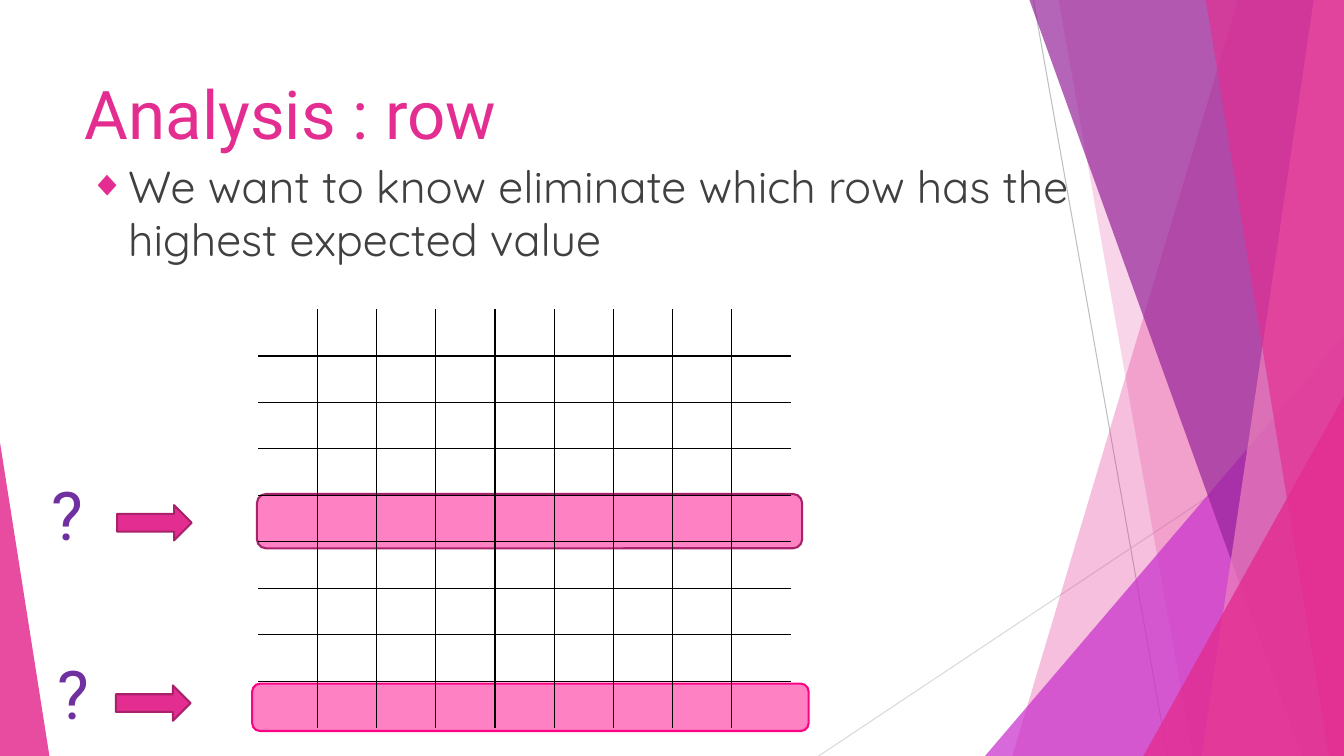
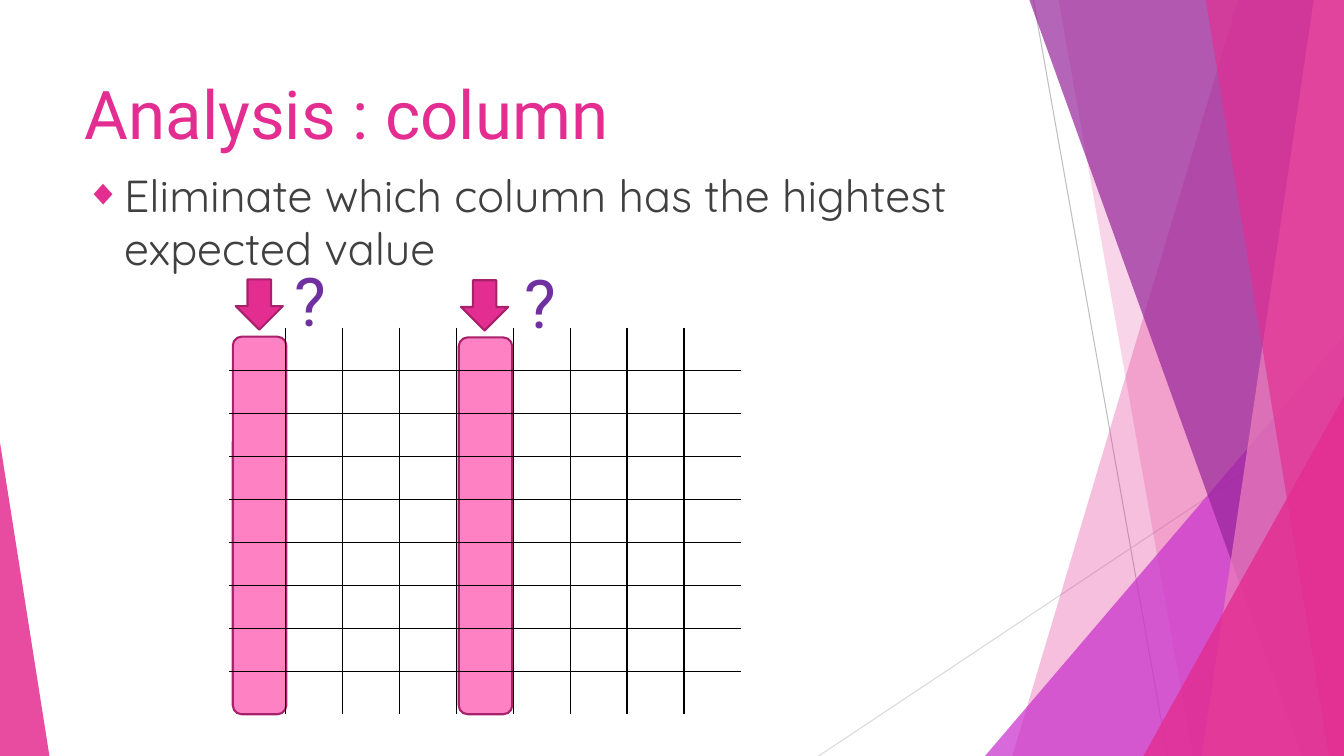
from lxml import etree
from pptx import Presentation
from pptx import util as u
from pptx.dml.color import RGBColor
from pptx.enum import shapes, text
from pptx.oxml import ns

COLORS = {
    "pink": "E32D91", "rose": "EE81BD", "violet": "962499", "orchid": "C830CC",
    "highlight": "FE82C3", "edge": "A8216B", "hot edge": "FC0285",
    "question": "7030A0", "body": "404040", "grid": "000000",
    "grey": "BFBFBF", "light grey": "D9D9D9",
}
WIDTH, HEIGHT = 13.33, 7.5
CELLS = 9  # the board is 9 by 9
KIND = shapes.MSO_SHAPE


def write(frame, words, *, size, font, color, bullet=None, indent=0.38):
    """Fill a text frame with one formatted paragraph."""
    frame.word_wrap = True
    frame.auto_size = text.MSO_AUTO_SIZE.NONE
    frame.vertical_anchor = text.MSO_ANCHOR.TOP
    paragraph = frame.paragraphs[0]
    paragraph.text = words
    paragraph.alignment = text.PP_ALIGN.LEFT
    paragraph.space_before = u.Pt(0)
    if bullet:
        props = paragraph._p.get_or_add_pPr()
        props.set("marL", str(u.Inches(indent)))
        props.set("indent", str(-u.Inches(indent)))
        tint = etree.SubElement(props, ns.qn("a:buClr"))
        etree.SubElement(tint, ns.qn("a:srgbClr"), val=COLORS["pink"])
        etree.SubElement(props, ns.qn("a:buSzPct"), val="80000")
        etree.SubElement(props, ns.qn("a:buChar"), char=bullet)
    paragraph.font.size = u.Pt(size)
    paragraph.font.name = font
    paragraph.font.color.rgb = RGBColor.from_string(COLORS[color])


def paint(shape, fill, edge=None, opacity=100):
    """Give a shape its fill, outline and opacity, without shadow."""
    shape.shadow.inherit = False
    shape.fill.solid()
    shape.fill.fore_color.rgb = RGBColor.from_string(COLORS[fill])
    if opacity < 100:
        tint = shape.element.spPr.find(ns.qn("a:solidFill"))[0]
        etree.SubElement(tint, ns.qn("a:alpha"), val=str(opacity * 1000))
    if edge:
        shape.line.color.rgb = RGBColor.from_string(COLORS[edge])
        shape.line.width = u.Pt(1.5)
    else:
        shape.line.fill.background()


# Backdrop: thin lines (from, to, colour)
RAYS = [
    (10.25, 0, 11.58, HEIGHT, "grey"),
    (WIDTH, 4.03, 8.12, HEIGHT, "light grey"),
]
# Panels reach the right edge: top-left x, bottom-left x, colour, opacity
# Triangles: left, top, width, apex share, colour, opacity
BACKDROP = [
    ("panel", 12.28, 10.04, "pink", 30),
    ("panel", 10.5, 11.83, "pink", 20),
    ("triangle", 9.77, 3.33, 3.56, 1, "orchid", 72),
    ("panel", 10.21, 12.91, "violet", 70),
    ("panel", 13.03, 11.92, "rose", 70),
    ("panel", 11.96, 13.18, "pink", 65),
    ("triangle", 11.34, 3.93, 1.99, 1, "pink", 80),
    ("triangle", 0, 4.39, 0.49, 0, "pink", 85),
]

# Slide content; places inside the board are (column, row, columns, rows)
SLIDES = [
    {
        "title": "Analysis : row",
        "body": "We want to know eliminate which row has the highest expected value",
        "body at": (0.79, 1.52),
        "board": (2.56, 3.07, 5.29, 4.15),
        "highlights": [(-0.1, 8.05, 9.39, 1.02, "hot edge"),
                       (-0.02, 3.97, 9.2, 1.17, "edge")],
        "arrow": KIND.RIGHT_ARROW,
        "arrows": [(-2.38, 4.21, 1.26, 0.76), (-2.4, 8.09, 1.26, 0.76)],
        "questions": [(-3.66, 3.41, 1.26, 2.15), (-3.55, 7.27, 1.19, 2.15)],
    },
    {
        "title": "Analysis : column",
        "body": "Eliminate which column has the hightest expected value",
        "body at": (0.75, 1.61),
        "board": (2.27, 3.25, 5.08, 3.84),
        "highlights": [(4.04, 0.23, 0.94, 8.76, "edge"),
                       (0.07, 0.21, 0.94, 8.78, "edge")],
        "arrow": KIND.DOWN_ARROW,
        "arrows": [(4.08, -1.1, 0.83, 1.17), (0.12, -1.12, 0.83, 1.17)],
        "questions": [(0.98, -1.71, 1.24, 2.32), (5.02, -1.66, 1.24, 2.32)],
    },
]

deck = Presentation()
deck.slide_width, deck.slide_height = u.Inches(WIDTH), u.Inches(HEIGHT)
layout = deck.slide_layouts[1]
pages = [deck.slides.add_slide(layout) for content in SLIDES]

# Draw the backdrop once, then hand it to the shared layout
canvas = pages[0].shapes
backdrop = []
for x1, y1, x2, y2, color in RAYS:
    ray = canvas.add_connector(shapes.MSO_CONNECTOR.STRAIGHT,
                               *map(u.Inches, (x1, y1, x2, y2)))
    ray.line.color.rgb = RGBColor.from_string(COLORS[color])
    ray.line.width = u.Pt(0.75)
    etree.SubElement(ray.element.spPr, ns.qn("a:effectLst"))
    backdrop.append(ray)
for kind, *geometry, color, opacity in BACKDROP:
    if kind == "panel":
        top_x, bottom_x = geometry
        corners = [(top_x, 0), (WIDTH, 0), (WIDTH, HEIGHT), (bottom_x, HEIGHT)]
        corners = [(u.Inches(x), u.Inches(y)) for x, y in corners]
        outline = canvas.build_freeform(*corners[0])
        outline.add_line_segments(corners[1:])
        facet = outline.convert_to_shape()
    else:
        left, top, width, apex = geometry
        facet = canvas.add_shape(KIND.ISOSCELES_TRIANGLE,
                                 *map(u.Inches, (left, top, width, HEIGHT - top)))
        facet.adjustments[0] = apex
    paint(facet, color, opacity=opacity)
    backdrop.append(facet)
for order, part in enumerate(backdrop):
    part.element.xpath(".//p:cNvPr")[0].set("id", str(100 + order))
    layout.shapes.element.insert(2 + order, part.element)

for page, content in zip(pages, SLIDES):
    # Title and statement
    title, body = page.shapes.title, page.placeholders[1]
    title.left, title.top, title.width, title.height = map(
        u.Inches, (0.74, 0.67, 9.4, 1.44))
    write(title.text_frame, content["title"], size=48, font="Roboto", color="pink")
    body.left, body.top, body.width, body.height = map(
        u.Inches, (*content["body at"], 10.22, 1.68))
    write(body.text_frame, content["body"], size=32, font="Quicksand",
          color="body", bullet="◆")

    # Board units
    left, top, width, height = map(u.Inches, content["board"])
    column, row = width // CELLS, height // CELLS
    places = {
        part: [(left + int(x * column), top + int(y * row),
                int(w * column), int(h * row))
               for x, y, w, h, *_ in content[part]]
        for part in ("highlights", "arrows", "questions")
    }

    # Highlighted rows or columns behind the grid
    for place, (*_, edge) in zip(places["highlights"], content["highlights"]):
        paint(page.shapes.add_shape(KIND.ROUNDED_RECTANGLE, *place),
              "highlight", edge)

    # Grid with inner borders only
    board = page.shapes.add_table(CELLS, CELLS, left, top, width, height).table
    board.first_row = board.horz_banding = False
    for track in range(CELLS):
        board.columns[track].width, board.rows[track].height = column, row
    for r in range(CELLS):
        for c in range(CELLS):
            cell = board.cell(r, c)
            cell.margin_top = cell.margin_bottom = 0
            props = cell._tc.get_or_add_tcPr()
            inner = {"lnL": c > 0, "lnR": c < CELLS - 1,
                     "lnT": r > 0, "lnB": r < CELLS - 1}
            for side, visible in inner.items():
                border = etree.SubElement(props, ns.qn(f"a:{side}"),
                                          w=str(u.Pt(1)))
                if visible:
                    ink = etree.SubElement(border, ns.qn("a:solidFill"))
                    etree.SubElement(ink, ns.qn("a:srgbClr"), val=COLORS["grid"])
                else:
                    etree.SubElement(border, ns.qn("a:noFill"))
            cell.fill.background()

    # Arrows and question marks
    for place in places["arrows"]:
        paint(page.shapes.add_shape(content["arrow"], *place), "pink", "edge")
    for place in places["questions"]:
        write(page.shapes.add_textbox(*place).text_frame, "?",
              size=48, font="Roboto", color="question")

deck.save("out.pptx")
